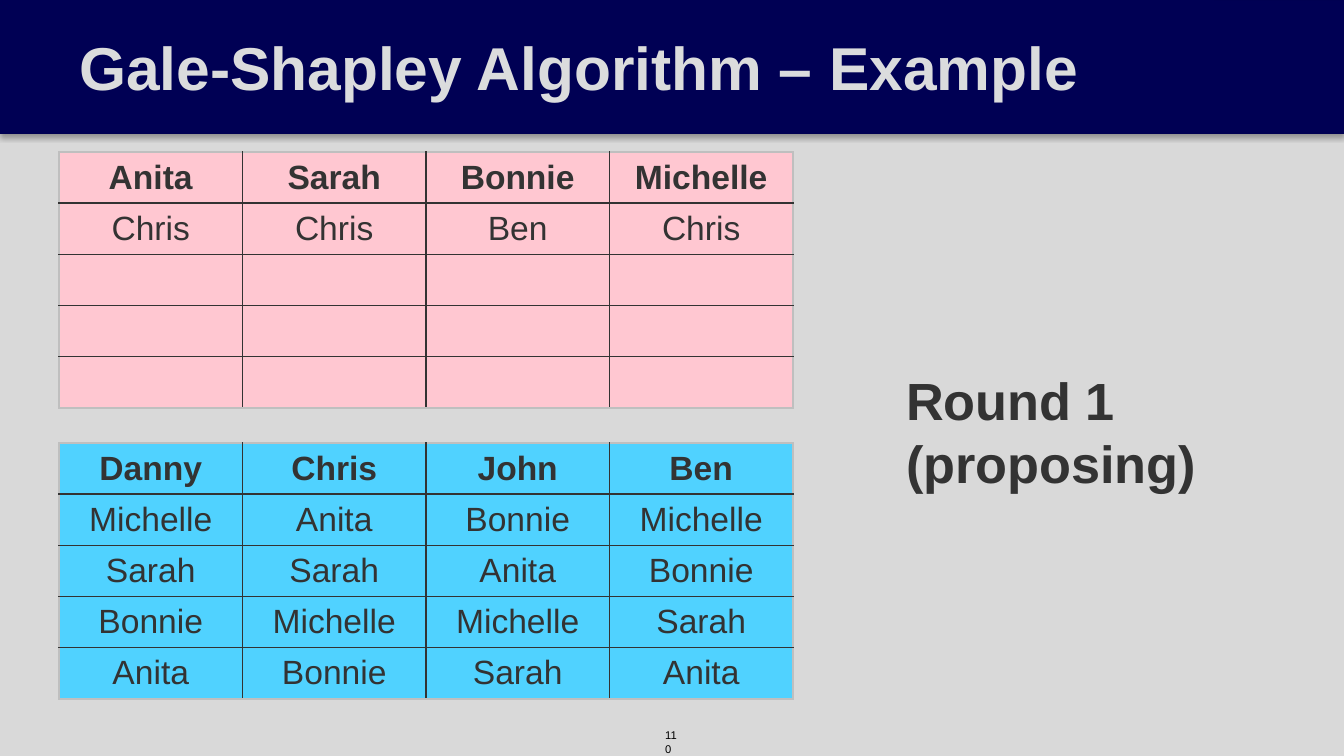
from lxml import etree
from pptx import Presentation
from pptx import util as u
from pptx.dml.color import RGBColor
from pptx.enum import shapes, text
from pptx.oxml import parse_xml
from pptx.oxml.ns import nsdecls, qn

PX = 6804
NAVY = RGBColor(0x00, 0x00, 0x54)
EDGE = RGBColor(0x00, 0x00, 0x52)
SILVER = RGBColor(0xDB, 0xDC, 0xDD)
GREY = RGBColor(0xD9, 0xD9, 0xD9)
RIM = RGBColor(0xBF, 0xBF, 0xBF)
INK = RGBColor(0x33, 0x33, 0x33)
BLACK = RGBColor(0x00, 0x00, 0x00)
PINK = RGBColor(0xFF, 0xC7, 0xD1)
BLUE = RGBColor(0x50, 0xD2, 0xFF)

WOMEN = [
    ["Anita", "Sarah", "Bonnie", "Michelle"],
    ["Chris", "Chris", "Ben", "Chris"],
    [""] * 4,
    [""] * 4,
    [""] * 4,
]
MEN = [
    ["Danny", "Chris", "John", "Ben"],
    ["Michelle", "Anita", "Bonnie", "Michelle"],
    ["Sarah", "Sarah", "Anita", "Bonnie"],
    ["Bonnie", "Michelle", "Michelle", "Sarah"],
    ["Anita", "Bonnie", "Sarah", "Anita"],
]


def emu(*lengths):
    """Turn px lengths into EMU."""
    return [u.Emu(n * PX) for n in lengths]


def apply(obj, **values):
    """Set each named attribute on an object."""
    for name, value in values.items():
        setattr(obj, name, value)


def write(p, words, size, color, bold=False):
    """Add one formatted run to a paragraph."""
    r = p.add_run()
    r.text = words
    apply(r.font, name="Arial", size=u.Pt(size), bold=bold)
    r.font.color.rgb = color


def header(s, box, title_width, words):
    """Place the shadowed band and the title over it."""
    x, y, w, h = box
    band = s.shapes.add_shape(shapes.MSO_SHAPE.RECTANGLE, *emu(x, y, w, h))
    band.fill.solid()
    band.fill.fore_color.rgb = NAVY
    band.line.color.rgb = EDGE
    band.line.width = u.Pt(0.75)
    band.element.spPr.append(parse_xml(
        f'<a:effectLst {nsdecls("a")}><a:outerShdw blurRad="{u.Pt(3.1)}" '
        f'dist="{u.Pt(1.8)}" dir="5400000" rotWithShape="0">'
        '<a:srgbClr val="000000"><a:alpha val="35000"/></a:srgbClr>'
        '</a:outerShdw></a:effectLst>'))

    title = s.shapes.title
    title.element.addprevious(band.element)
    left, top, width, height = emu(x, y, title_width, h)
    apply(title, left=left, top=top, width=width, height=height)
    title.fill.solid()
    title.fill.fore_color.rgb = NAVY
    tf = title.text_frame
    apply(tf, word_wrap=True, auto_size=text.MSO_AUTO_SIZE.NONE,
          vertical_anchor=text.MSO_ANCHOR.MIDDLE,
          margin_left=u.Inches(0.4), margin_right=u.Inches(0.4),
          margin_top=u.Inches(0.1), margin_bottom=u.Inches(0.1))
    p = tf.paragraphs[0]
    p.alignment = text.PP_ALIGN.LEFT
    pPr = p._p.get_or_add_pPr()
    pPr.set("marL", str(u.Inches(0.19)))
    pPr.set("indent", "0")
    write(p, words, 32.4, SILVER, True)


def border(cell, side, color):
    """Draw one edge of a table cell."""
    tcPr = cell._tc.get_or_add_tcPr()
    ln = etree.SubElement(tcPr, qn(f"a:ln{side}"), w=str(u.Pt(1)))
    fill = etree.SubElement(ln, qn("a:solidFill"))
    etree.SubElement(fill, qn("a:srgbClr"), val=str(color))


def preferences(s, box, rows, color):
    """Place a table of names with a bold first row."""
    n, m = len(rows), len(rows[0])
    table = s.shapes.add_table(n, m, *emu(*box)).table
    for i, row in enumerate(rows):
        for j, name in enumerate(row):
            cell = table.cell(i, j)
            outer = {"L": j == 0, "R": j == m - 1, "T": i == 0, "B": i == n - 1}
            for side, is_outer in outer.items():
                border(cell, side, RIM if is_outer else INK)
            cell.fill.solid()
            cell.fill.fore_color.rgb = color
            top, bottom = emu(5, 5)
            apply(cell, margin_top=top, margin_bottom=bottom,
                  vertical_anchor=text.MSO_ANCHOR.MIDDLE)
            if name:
                p = cell.text_frame.paragraphs[0]
                p.alignment = text.PP_ALIGN.CENTER
                write(p, name, 18, INK, i == 0)


def label(s, box, lines, size, color, bold=False):
    """Place a text box with one paragraph per line."""
    tf = s.shapes.add_textbox(*emu(*box)).text_frame
    tf.word_wrap = True
    for i, line in enumerate(lines):
        p = tf.add_paragraph() if i else tf.paragraphs[0]
        write(p, line, size, color, bold)


def main():
    """Build and save the slide."""
    prs = Presentation()
    prs.slide_width, prs.slide_height = emu(1344, 756)
    s = prs.slides.add_slide(prs.slide_layouts[5])
    s.background.fill.solid()
    s.background.fill.fore_color.rgb = GREY
    header(s, (0, 0, 1344, 133), 1214, "Gale-Shapley Algorithm – Example")
    preferences(s, (59, 152, 734, 256), WOMEN, PINK)
    preferences(s, (59, 443, 734, 256), MEN, BLUE)
    label(s, (893, 362, 321, 140), ["Round 1", "(proposing)"], 28, INK, True)
    label(s, (652, 722, 40, 27), ["110"], 6, BLACK)
    prs.save("out.pptx")


if __name__ == "__main__":
    main()
